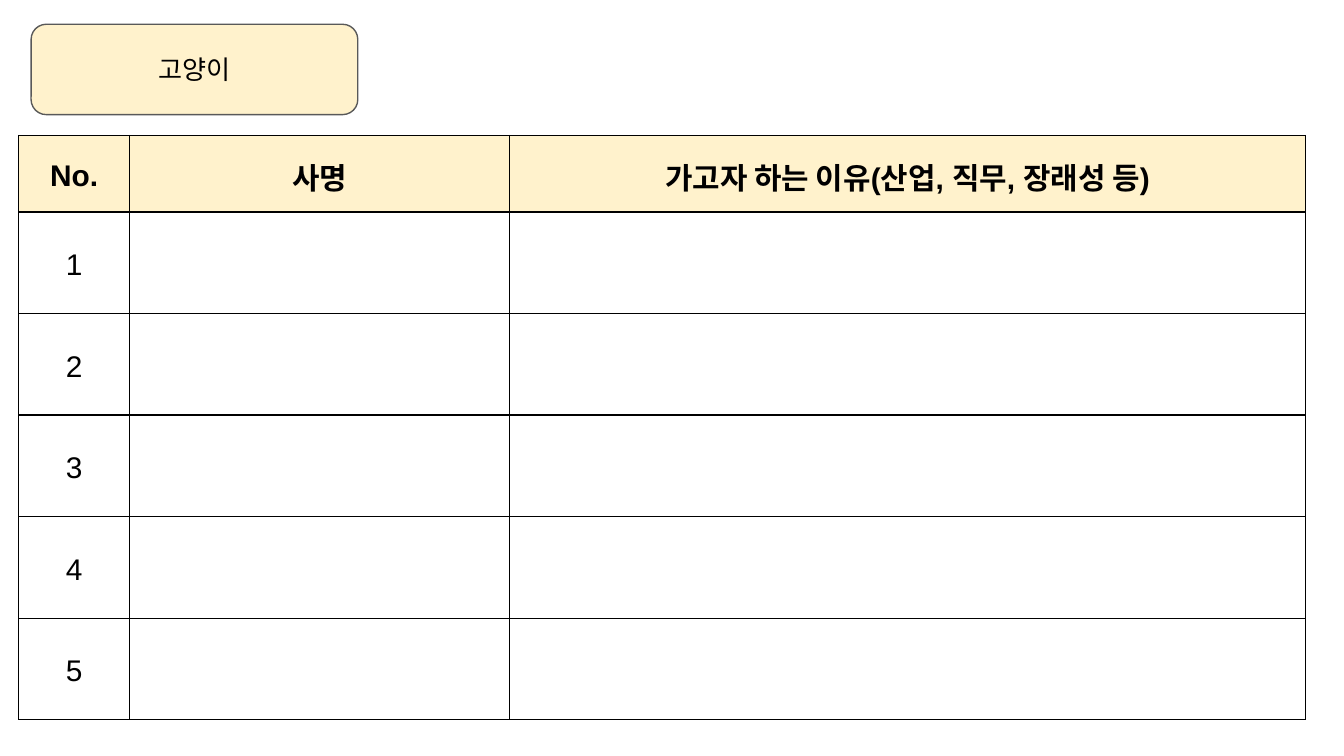
import pptx
import pptx.dml.color
import pptx.enum.shapes
import pptx.enum.text
import pptx.oxml
import pptx.oxml.ns
import pptx.util
from dataclasses import dataclass

Pt = pptx.util.Pt
RGB = pptx.dml.color.RGBColor
MIDDLE = pptx.enum.text.MSO_ANCHOR.MIDDLE
CENTER = pptx.enum.text.PP_ALIGN.CENTER


@dataclass(frozen=True)
class Theme:
    font: str = "Arial"
    ink: str = "000000"
    cream: str = "FFF2CC"
    edge: str = "595959"
    rule: float = 0.75
    inset: float = 7.2
    tag: int = 14
    body: int = 16


THEME = Theme()
HEADS = ["No.", "사명", "가고자 하는 이유(산업, 직무, 장래성 등)"]
COLS = [59.5, 203.5, 426.5]
HEAD_H, ROW_H, COUNT = 41, 54.4, 5


def paint(fill, color):
    fill.solid()
    fill.fore_color.rgb = RGB.from_string(color)


def pad(box):
    """Give a cell or text frame equal insets on all sides."""
    for side in ("left", "right", "top", "bottom"):
        setattr(box, f"margin_{side}", Pt(THEME.inset))
    box.vertical_anchor = MIDDLE


def write(frame, text, size, bold=False):
    para = frame.paragraphs[0]
    para.text = text
    para.alignment = CENTER
    para.font.name = THEME.font
    para.font.size = Pt(size)
    para.font.bold = bold
    para.font.color.rgb = RGB.from_string(THEME.ink)
    return para


def border(cell):
    props = cell._tc.get_or_add_tcPr()
    for side in "LRTB":
        props.append(pptx.oxml.parse_xml(
            f'<a:ln{side} {pptx.oxml.ns.nsdecls("a")} w="{Pt(THEME.rule)}">'
            f'<a:solidFill><a:srgbClr val="{THEME.ink}"/></a:solidFill>'
            f'</a:ln{side}>'))


def add_tag(slide, text, left, top, width, height):
    kind = pptx.enum.shapes.MSO_SHAPE.ROUNDED_RECTANGLE
    tag = slide.shapes.add_shape(kind, Pt(left), Pt(top), Pt(width), Pt(height))
    tag.shadow.inherit = False
    paint(tag.fill, THEME.cream)
    paint(tag.line.fill, THEME.edge)
    tag.line.width = Pt(THEME.rule)
    pad(tag.text_frame)
    tag.text_frame.word_wrap = True
    write(tag.text_frame, text, THEME.tag)


def add_grid(slide, left, top):
    rows = [HEADS] + [[str(n), "", ""] for n in range(1, COUNT + 1)]
    heights = [HEAD_H] + [ROW_H] * COUNT
    table = slide.shapes.add_table(
        len(rows), len(COLS), Pt(left), Pt(top),
        Pt(sum(COLS)), Pt(sum(heights))).table
    table.first_row = table.horz_banding = False
    for col, width in zip(table.columns, COLS):
        col.width = Pt(width)
    for i, (row, height, texts) in enumerate(zip(table.rows, heights, rows)):
        row.height = Pt(height)
        for cell, text in zip(row.cells, texts):
            border(cell)
            pad(cell)
            if i == 0:
                paint(cell.fill, THEME.cream)
            else:
                cell.fill.background()
            if text:
                para = write(cell.text_frame, text, THEME.body, bold=i == 0)
                para.line_spacing = 1.15


def main():
    deck = pptx.Presentation()
    deck.slide_width, deck.slide_height = Pt(720), Pt(405)
    slide = deck.slides.add_slide(deck.slide_layouts[6])
    add_grid(slide, 10, 72.6)
    add_tag(slide, "고양이", 16.7, 13, 175, 48.4)
    deck.save("out.pptx")


if __name__ == "__main__":
    main()
